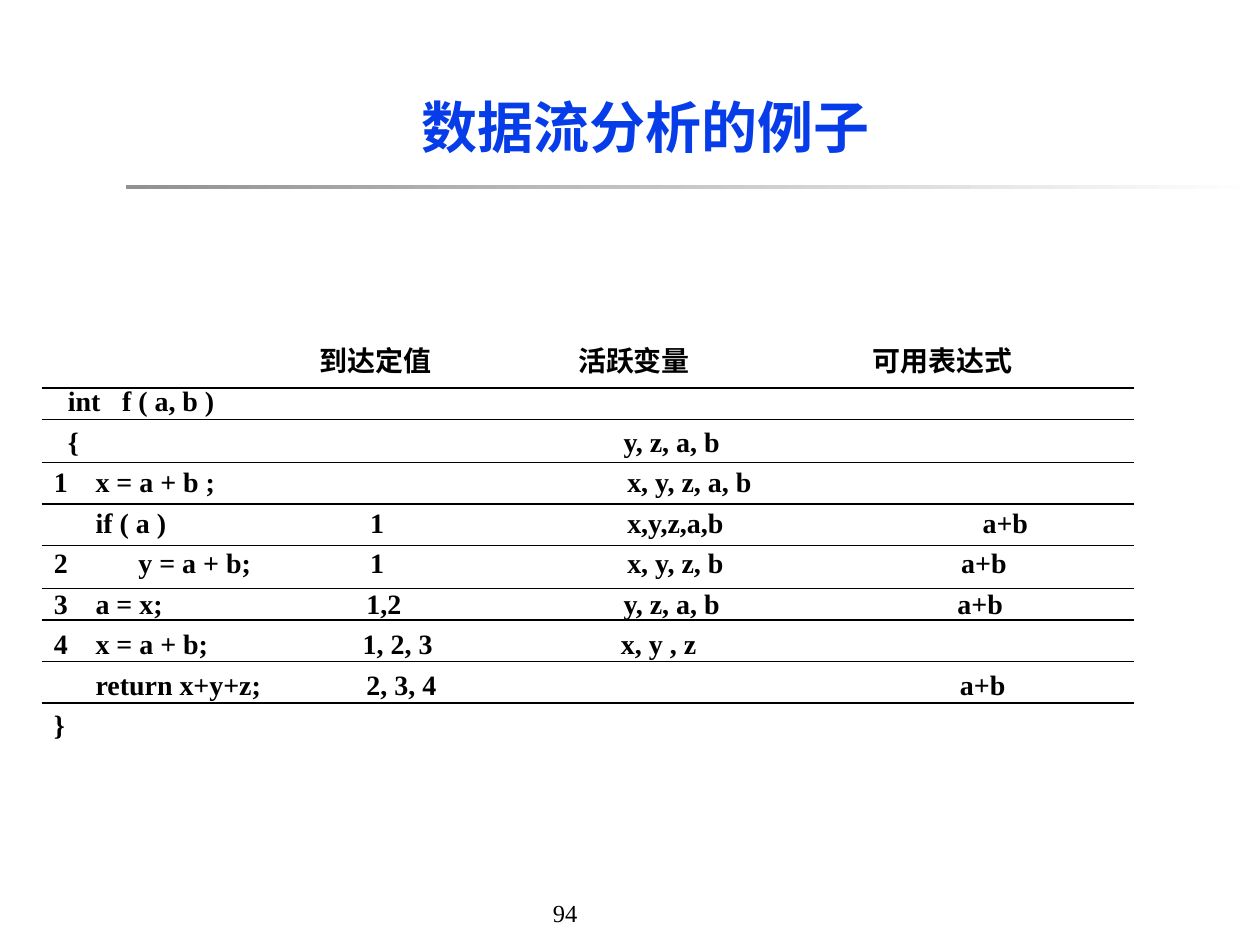
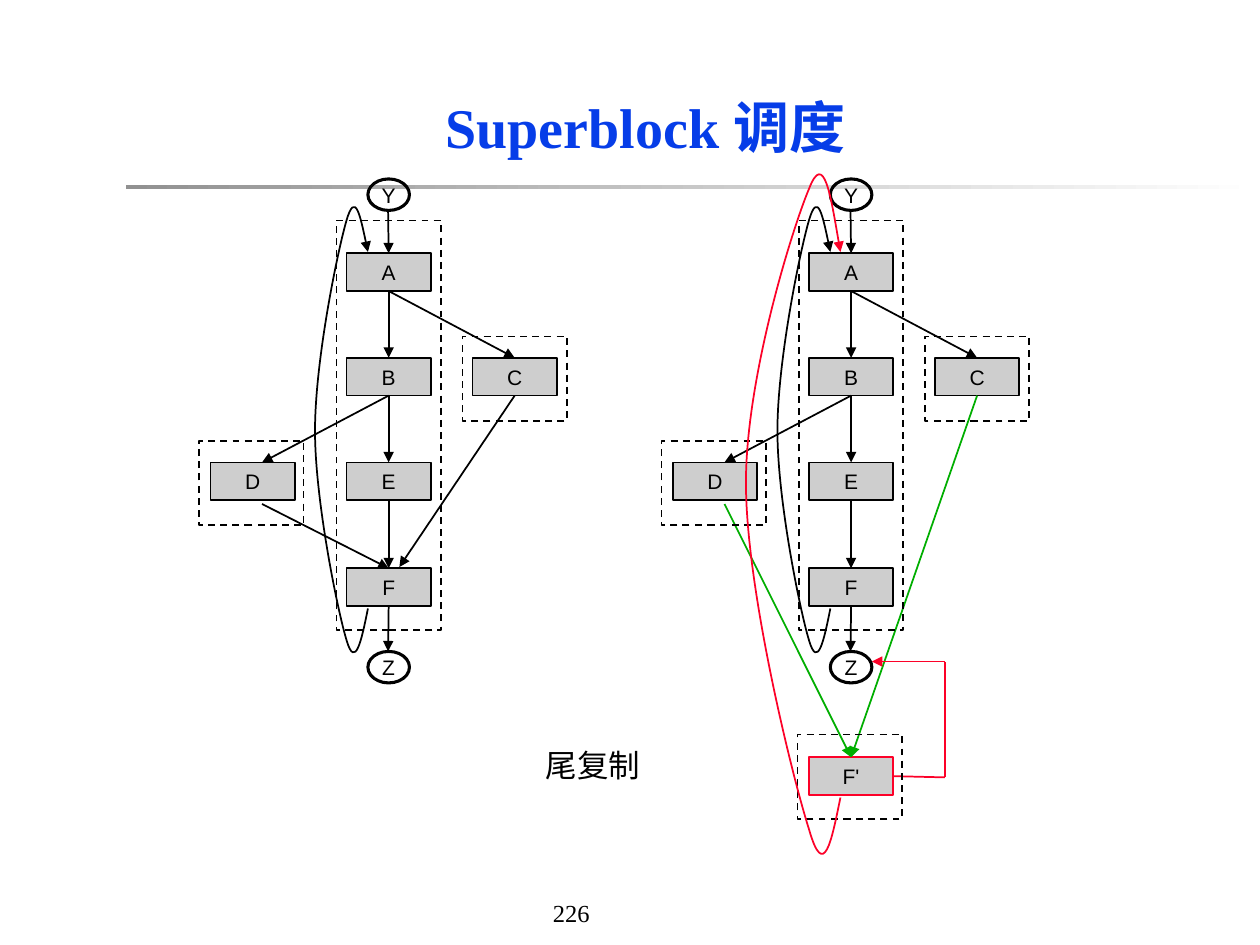
from dataclasses import dataclass
from itertools import accumulate

import pptx
import pptx.dml.color
import pptx.enum.dml
import pptx.enum.shapes
import pptx.enum.text
import pptx.oxml
import pptx.oxml.ns
import pptx.util
from lxml import etree

Inches = pptx.util.Inches
qn = pptx.oxml.ns.qn
SHAPE = pptx.enum.shapes.MSO_SHAPE
ALIGN = pptx.enum.text.PP_ALIGN
ANCHOR = pptx.enum.text.MSO_ANCHOR


@dataclass(frozen=True)
class Theme:
    """Colours, fonts and sizes shared by the slides."""
    ink: str = "000000"
    title: str = "063DE8"
    node: str = "CECECE"
    band_start: str = "919191"
    band_end: str = "FFFFFF"
    tail_copy: str = "FC0128"
    moved_edge: str = "00AE00"
    serif: str = "Times New Roman"
    sans: str = "Arial"
    title_pt: float = 32
    caption_pt: float = 18
    code_pt: float = 16
    number_pt: float = 14
    node_pt: float = 12
    row_pitch_pt: float = 23.14
    rule_pt: float = 0.75
    line_pt: float = 1
    oval_pt: float = 1.75


T = Theme()

TABLE_ROWS = [
    ("", (2.11, "到达定值"), (4.16, "活跃变量"), (6.5, "可用表达式")),
    ("", (0.11, "int"), (0.54, "f ( a, b )")),
    ("", (0.11, "{"), (4.52, "y, z, a, b")),
    ("1", (0.33, "x = a + b ;"), (4.55, "x, y, z, a, b")),
    ("", (0.33, "if ( a )"), (2.51, "1"), (4.55, "x,y,z,a,b"), (7.37, "a+b")),
    ("2", (0.67, "y = a + b;"), (2.51, "1"), (4.55, "x, y, z, b"), (7.2, "a+b")),
    ("3", (0.33, "a = x;"), (2.48, "1,2"), (4.52, "y, z, a, b"), (7.17, "a+b")),
    ("4", (0.33, "x = a + b;"), (2.45, "1, 2, 3"), (4.5, "x, y , z")),
    ("", (0.33, "return x+y+z;"), (2.48, "2, 3, 4"), (7.19, "a+b")),
    ("}",),
]
RULE_GAPS = [1.33, 0.25, 0.34, 0.33, 0.33, 0.34, 0.25, 0.33, 0.33]

NODES = {"A": (1.17, 0.59), "B": (1.17, 1.42), "C": (2.17, 1.42),
         "D": (0.09, 2.25), "E": (1.17, 2.25), "F": (1.17, 3.09)}
OVALS = {"Y": (1.34, 0), "Z": (1.34, 3.75)}
REGIONS = [(1.09, 0.33, 0.83, 3.25), (2.09, 1.25, 0.83, 0.67),
           (0, 2.08, 0.83, 0.67)]
TOP, BOTTOM, RIGHT = 0, 2, 3
EDGES = [(("A", BOTTOM), ("B", TOP)), (("B", BOTTOM), ("E", TOP)),
         (("E", BOTTOM), ("F", TOP)), (("A", BOTTOM), ("C", TOP)),
         (("B", BOTTOM), (0.5, 2.25)), ((1.5, 0.24), ("A", TOP)),
         (("F", BOTTOM), (1.5, 3.75))]
D_EXIT = (0.5, 2.58)
LOOP = [(1.34, 3.41), (1.29, 3.66), (1.24, 3.9), (1.17, 3.66), (1.1, 3.43),
        (0.92, 2.55), (0.92, 2), (0.92, 1.44), (1.1, 0.57), (1.17, 0.33),
        (1.24, 0.09), (1.29, 0.34), (1.34, 0.58)]
COPY_LOOP = [(1.42, 4.91), (1.35, 5.25), (1.29, 5.58), (1.17, 5.16), (1.04, 4.75),
             (0.67, 3.26), (0.67, 2.41), (0.67, 1.57), (1.04, 0.39), (1.17, 0.08),
             (1.29, -0.23), (1.35, 0.18), (1.42, 0.58)]


def rgb(color):
    """Return a colour object for a hex string."""
    return pptx.dml.color.RGBColor.from_string(color)


def inches(*values):
    """Convert several numbers to lengths."""
    return [Inches(v) for v in values]


def style_text(tf, font, size, color=T.ink, bold=False, align=None):
    """Format every paragraph and run of a text frame."""
    tf.margin_left = tf.margin_right = Inches(0.1)
    tf.margin_top = tf.margin_bottom = Inches(0.05)
    for p in tf.paragraphs:
        p.alignment = align
        for r in p.runs:
            r.font.name, r.font.size, r.font.bold = font, pptx.util.Pt(size), bold
            r.font.color.rgb = rgb(color)


def style_line(s, color=T.ink, width=T.line_pt, arrow=False):
    """Set a line's colour and width, and its arrowhead if it has one."""
    s.line.color.rgb = rgb(color)
    s.line.width = pptx.util.Pt(width)
    if arrow:
        ln = s._element.find(".//" + qn("a:ln"))
        etree.SubElement(ln, qn("a:tailEnd"), type="triangle")


def add_line(sl, start, end, color=T.ink, width=T.line_pt, arrow=False):
    """Draw a straight connector without a shadow."""
    c = sl.shapes.add_connector(pptx.enum.shapes.MSO_CONNECTOR.STRAIGHT,
                                *inches(*start, *end))
    style_line(c, color, width, arrow)
    etree.SubElement(c._element.spPr, qn("a:effectLst"))
    return c


def add_outline(sl, kind, box, color=T.ink, width=T.line_pt):
    """Draw an unfilled preset shape."""
    s = sl.shapes.add_shape(kind, *inches(*box))
    s.shadow.inherit = False
    s.fill.background()
    style_line(s, color, width)
    return s


def add_label(s, text):
    """Centre a node name in its shape."""
    tf = s.text_frame
    tf.text = text
    tf.vertical_anchor = ANCHOR.MIDDLE
    style_text(tf, T.sans, T.node_pt, align=ALIGN.CENTER)


def add_curve(sl, points, color=T.ink):
    """Draw a chain of Bezier segments ending in an arrowhead."""
    pts = [inches(*pt) for pt in points]
    fb = sl.shapes.build_freeform(*pts[0], scale=1.0)
    fb.add_line_segments(pts[1:], close=False)
    s = fb.convert_to_shape()
    s.shadow.inherit = False
    s.fill.background()
    style_line(s, color, arrow=True)
    outline = s._element.find(".//" + qn("a:path"))
    steps = outline.findall(qn("a:lnTo"))
    for i in range(0, len(steps), 3):
        curve = etree.SubElement(outline, qn("a:cubicBezTo"))
        for step in steps[i:i + 3]:
            curve.append(step[0])
            outline.remove(step)


def base_slide(prs, title, number):
    """Add a slide with its title, gradient band and page number."""
    sl = prs.slides.add_slide(prs.slide_layouts[5])
    s = sl.shapes.title
    s.left, s.top, s.width, s.height = inches(1, 0.5, 8.25, 1)
    s.text_frame.text = title
    s.text_frame.vertical_anchor = ANCHOR.MIDDLE
    style_text(s.text_frame, T.serif, T.title_pt, T.title, True, ALIGN.CENTER)

    band = sl.shapes.add_shape(SHAPE.RECTANGLE, *inches(1, 1.47, 9, 0.03))
    band.shadow.inherit = False
    band.line.fill.background()
    band.fill.gradient()
    band.fill.gradient_angle = 0
    for stop, color in zip(band.fill.gradient_stops, (T.band_start, T.band_end)):
        stop.color.rgb = rgb(color)

    tb = sl.shapes.add_textbox(*inches(4.29, 7.08, 1.02, 0.33))
    tb.text_frame.text = str(number)
    style_text(tb.text_frame, T.serif, T.number_pt, align=ALIGN.LEFT)
    return sl


def analysis_table(sl, x, y, w, h):
    """Set the code and its data-flow facts on tab stops between rules."""
    tf = sl.shapes.add_textbox(*inches(x, y, w, h)).text_frame
    tf.word_wrap = True
    for i, (lead, *cells) in enumerate(TABLE_ROWS):
        p = tf.add_paragraph() if i else tf.paragraphs[0]
        tabs = etree.SubElement(p._p.get_or_add_pPr(), qn("a:tabLst"))
        for stop, _ in cells:
            etree.SubElement(tabs, qn("a:tab"), pos=str(Inches(stop)), algn="l")
        p.text = "\t".join([lead, *(text for _, text in cells)])
        p.line_spacing = pptx.util.Pt(T.row_pitch_pt)
    style_text(tf, T.serif, T.code_pt, bold=True)
    tf.margin_top = Inches(0.92)
    for dy in accumulate(RULE_GAPS):
        add_line(sl, (x, y + dy), (x + 8.67, y + dy), width=T.rule_pt)


def flow_graph(sl, x, y, nodes, regions, edges, loops):
    """Draw a control-flow graph whose parts are placed from (x, y)."""
    def place(pt):
        return x + pt[0], y + pt[1]

    shapes = {}
    for name, pt in nodes.items():
        color = T.tail_copy if name == "F'" else T.ink
        s = add_outline(sl, SHAPE.RECTANGLE, (*place(pt), 0.67, 0.3), color)
        s.fill.solid()
        s.fill.fore_color.rgb = rgb(T.node)
        add_label(s, name)
        shapes[name] = s
    for start, end, color, arrow in edges:
        ends = [(0, 0) if e[0] in shapes else place(e) for e in (start, end)]
        c = add_line(sl, *ends, color, arrow=arrow)
        for e, join in ((start, c.begin_connect), (end, c.end_connect)):
            if e[0] in shapes:
                join(shapes[e[0]], e[1])
    for left, top, w, h in regions:
        s = add_outline(sl, SHAPE.RECTANGLE, (x + left, y + top, w, h))
        s.line.dash_style = pptx.enum.dml.MSO_LINE.DASH
    for name, pt in OVALS.items():
        s = add_outline(sl, SHAPE.OVAL, (*place(pt), 0.33, 0.25), width=T.oval_pt)
        add_label(s, name)
        s.text_frame.word_wrap = False
    for points, color in loops:
        add_curve(sl, [place(pt) for pt in points], color)


def superblock_graphs(sl, x, y):
    """Draw the graph before and after tail duplication, with a caption."""
    shared = [(a, b, T.ink, True) for a, b in EDGES]
    before = [(("C", BOTTOM), (1.59, 3.08), T.ink, True),
              (D_EXIT, ("F", TOP), T.ink, True)]
    corners = [("F'", RIGHT), (2.25, 4.75), (2.25, 3.83), (1.67, 3.83)]
    after = [(e, ("F'", TOP), T.moved_edge, True) for e in (("C", BOTTOM), D_EXIT)]
    after += [(a, b, T.tail_copy, b == corners[-1])
              for a, b in zip(corners, corners[1:])]
    loop = (LOOP, T.ink)
    flow_graph(sl, x, y, NODES, REGIONS, shared + before, [loop])
    flow_graph(sl, x + 3.67, y, {**NODES, "F'": (1.17, 4.59)},
               REGIONS + [(1.08, 4.41, 0.83, 0.67)], shared + after,
               [loop, (COPY_LOOP, T.tail_copy)])
    tf = sl.shapes.add_textbox(*inches(x + 2.5, y + 4.45, 1.25, 0.4)).text_frame
    tf.word_wrap = True
    tf.text = "尾复制"
    tf.vertical_anchor = ANCHOR.MIDDLE
    style_text(tf, T.sans, T.caption_pt, align=ALIGN.CENTER)


def main():
    """Build and save the two slides."""
    prs = pptx.Presentation()
    prs.slide_width, prs.slide_height = inches(10, 7.5)
    analysis_table(base_slide(prs, "数据流分析的例子", 94), 0.33, 1.75, 9.42, 4.58)
    superblock_graphs(base_slide(prs, "Superblock 调度", 226), 1.58, 1.42)
    prs.save("out.pptx")


if __name__ == "__main__":
    main()
